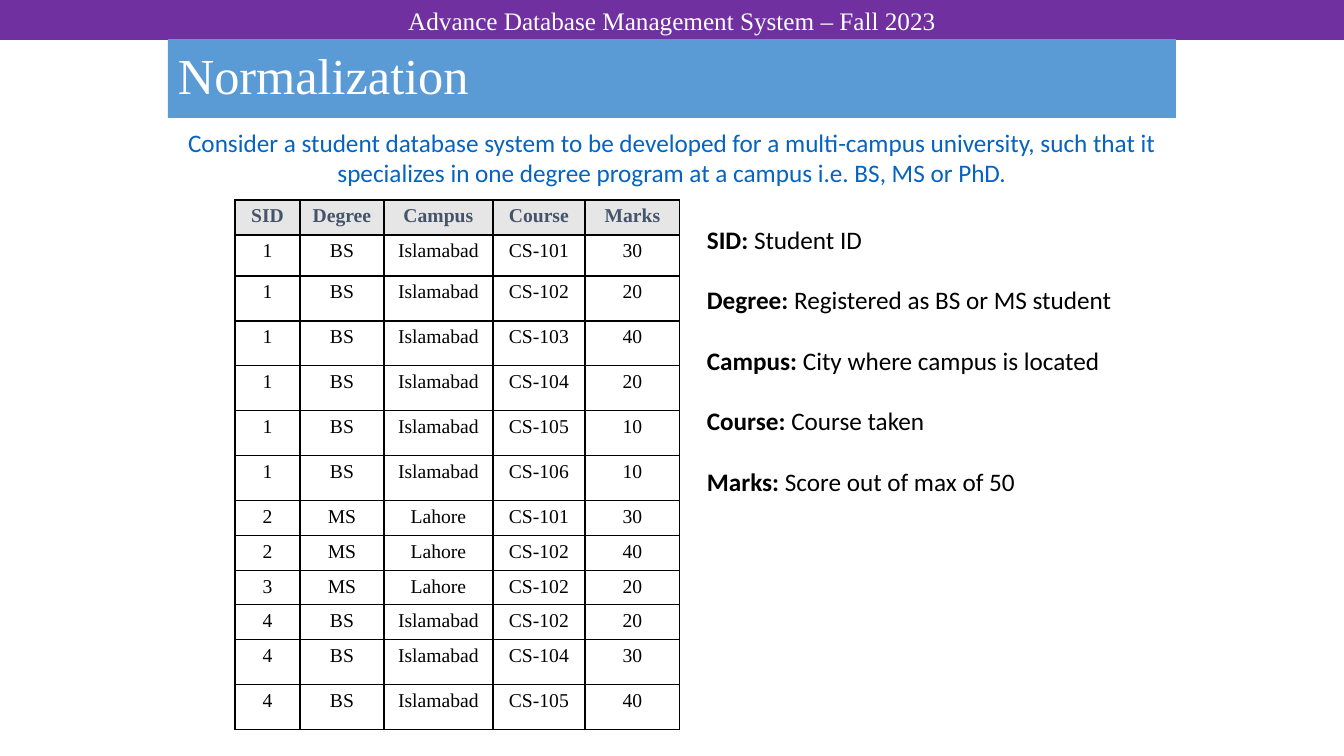
from typing import NamedTuple

from lxml.etree import SubElement
from pptx import Presentation
from pptx.dml.color import RGBColor
from pptx.enum.shapes import MSO_SHAPE as Preset
from pptx.enum.text import MSO_ANCHOR as Anchor, PP_ALIGN as Align
from pptx.oxml.ns import qn
from pptx.util import Emu, Pt

EMU_PER_PIXEL = 914400 / 100.8
SERIF, SANS = "Times New Roman", "Calibri"
WHITE, BLACK = "FFFFFF", "000000"


class Box(NamedTuple):
    left: int
    top: int
    width: int
    height: int


class Banner(NamedTuple):
    text: str
    box: Box
    fill: str
    size: int
    align: Align
    line_spacing: float


class Definition(NamedTuple):
    term: str
    meaning: str


class Enrolment(NamedTuple):
    sid: int
    degree: str
    campus: str
    course: str
    marks: int


def px(pixels: float) -> Emu:
    return Emu(round(pixels * EMU_PER_PIXEL))


def emu(box: Box) -> list[Emu]:
    return [px(length) for length in box]


def color(hex_code: str) -> RGBColor:
    return RGBColor.from_string(hex_code)


def write(paragraph, text: str, *, size: float = 18, font: str = SANS,
          ink: str = BLACK, bold: bool = False, align: Align = Align.LEFT) -> None:
    paragraph.alignment = align
    run = paragraph.add_run()
    run.text = text
    run.font.size = Pt(size)
    run.font.name = font
    run.font.bold = bold
    run.font.color.rgb = color(ink)


def draw_banner(banner: Banner) -> None:
    bar = slide.shapes.add_shape(Preset.RECTANGLE, *emu(banner.box))
    bar.shadow.inherit = False
    bar.fill.solid()
    bar.fill.fore_color.rgb = color(banner.fill)
    bar.line.fill.background()
    bar.text_frame.vertical_anchor = Anchor.MIDDLE
    line = bar.text_frame.paragraphs[0]
    line.line_spacing = banner.line_spacing
    write(line, banner.text, size=banner.size, font=SERIF, ink=WHITE,
          align=banner.align)


def add_text_frame(box: Box, wrap: bool):
    frame = slide.shapes.add_textbox(*emu(box)).text_frame
    frame.word_wrap = wrap
    return frame


def outline(cell) -> None:
    properties = cell._tc.get_or_add_tcPr()
    for position, side in enumerate(("lnL", "lnR", "lnT", "lnB")):
        edge = SubElement(properties, qn(f"a:{side}"), w=str(Pt(1)))
        paint = SubElement(edge, qn("a:solidFill"))
        SubElement(paint, qn("a:srgbClr"), val=BLACK)
        properties.insert(position, edge)


def draw_cell(cell, text: str, is_header: bool) -> None:
    if is_header:
        cell.fill.solid()
        cell.fill.fore_color.rgb = color("E7E6E6")
    else:
        cell.fill.background()
    outline(cell)
    write(cell.text_frame.paragraphs[0], text, size=14, font=SERIF,
          ink="44546A" if is_header else BLACK, bold=is_header,
          align=Align.CENTER)


# Content
BANNERS = [
    Banner("Advance Database Management System – Fall 2023",
           Box(0, 0, 1344, 40), "7030A0", 18, Align.CENTER, 1.0),
    Banner("Normalization", Box(168, 39, 1008, 79), "5B9BD5", 36,
           Align.LEFT, 0.9),
]
INTRO = ("Consider a student database system to be developed for a multi-campus "
         "university, such that it specializes in one degree program at a campus "
         "i.e. BS, MS or PhD.")
DEFINITIONS = [
    Definition("SID", "Student ID"),
    Definition("Degree", "Registered as BS or MS student"),
    Definition("Campus", "City where campus is located"),
    Definition("Course", "Course taken"),
    Definition("Marks", "Score out of max of 50"),
]
FIRST_STUDENT_MARKS = [30, 20, 40, 20, 10, 10]
ENROLMENTS = [
    *(Enrolment(1, "BS", "Islamabad", f"CS-{number}", marks)
      for number, marks in enumerate(FIRST_STUDENT_MARKS, start=101)),
    Enrolment(2, "MS", "Lahore", "CS-101", 30),
    Enrolment(2, "MS", "Lahore", "CS-102", 40),
    Enrolment(3, "MS", "Lahore", "CS-102", 20),
    Enrolment(4, "BS", "Islamabad", "CS-102", 20),
    Enrolment(4, "BS", "Islamabad", "CS-104", 30),
    Enrolment(4, "BS", "Islamabad", "CS-105", 40),
]
COLUMN_WIDTHS = [65, 84, 109, 92, 95]
ROW_HEIGHTS = [35, 41] + [45] * 5 + [35, 35, 34, 35] + [45] * 2

deck = Presentation()
deck.slide_width, deck.slide_height = px(1344), px(756)
slide = deck.slides.add_slide(deck.slide_layouts[6])

# Course bar and title
for banner in BANNERS:
    draw_banner(banner)

# Enrolment table
rows = [[definition.term for definition in DEFINITIONS], *ENROLMENTS]
table_box = Box(235, 200, sum(COLUMN_WIDTHS), sum(ROW_HEIGHTS))
enrolment_table = slide.shapes.add_table(
    len(rows), len(COLUMN_WIDTHS), *emu(table_box)).table
enrolment_table.horz_banding = False
for column, width in zip(enrolment_table.columns, COLUMN_WIDTHS):
    column.width = px(width)
for row_index, (values, height) in enumerate(zip(rows, ROW_HEIGHTS)):
    enrolment_table.rows[row_index].height = px(height)
    for column_index, value in enumerate(values):
        draw_cell(enrolment_table.cell(row_index, column_index), str(value),
                  is_header=row_index == 0)

# Column definitions
glossary = add_text_frame(Box(697, 219, 429, 285), wrap=False)
for index, definition in enumerate(DEFINITIONS):
    entry = glossary.add_paragraph() if index else glossary.paragraphs[0]
    entry.space_before = Pt(21.6 if index else 0)
    write(entry, f"{definition.term}:", bold=True)
    write(entry, f" {definition.meaning}")

# Introduction
intro = add_text_frame(Box(168, 122, 1008, 71), wrap=True)
write(intro.paragraphs[0], INTRO, ink="0563C1", align=Align.CENTER)

deck.save("out.pptx")
